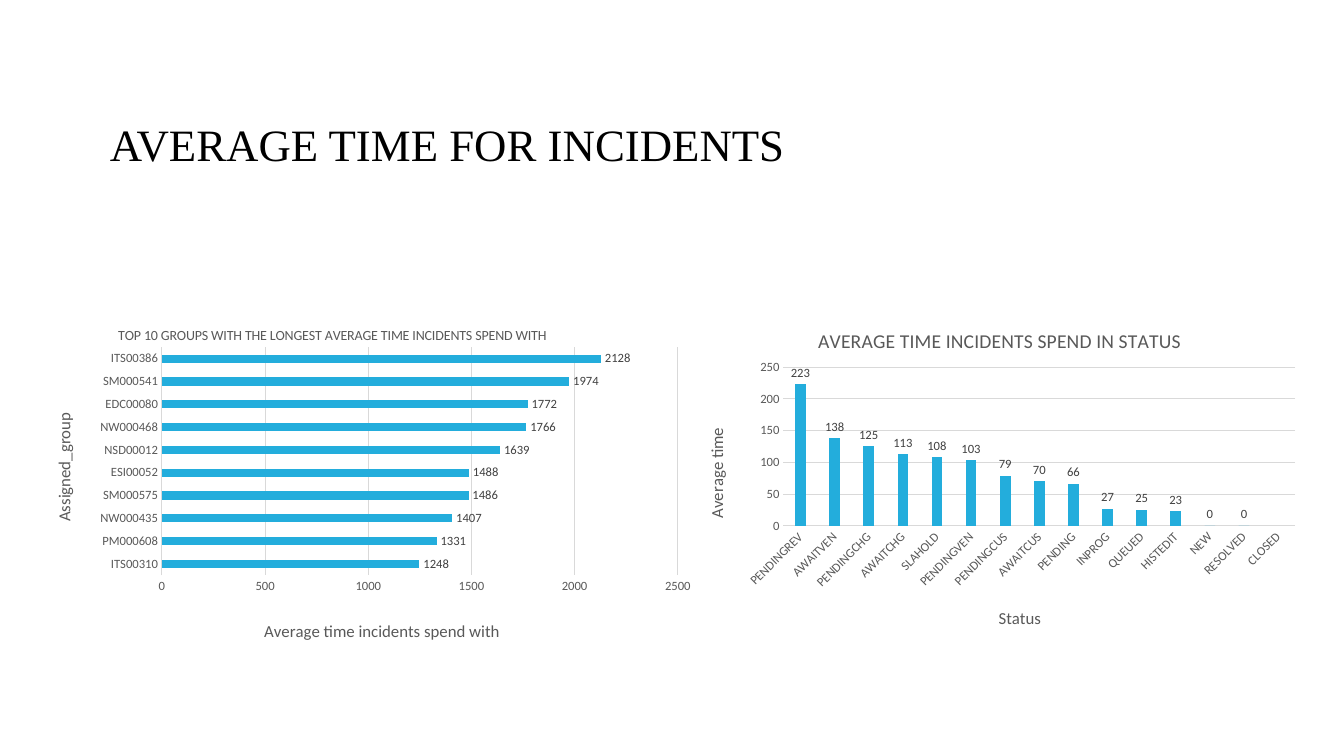
from lxml import etree
from pptx import Presentation
from pptx.chart.data import CategoryChartData as ChartData
from pptx.dml.color import RGBColor
from pptx.enum.chart import XL_CHART_TYPE as ChartType
from pptx.enum.chart import XL_LABEL_POSITION as LabelPosition
from pptx.enum.chart import XL_TICK_MARK as TickMark
from pptx.enum.text import MSO_ANCHOR, PP_ALIGN
from pptx.oxml.ns import qn
from pptx.util import Inches, Pt

COLORS = {
    "title": "000000",
    "bar": "23ADDC",
    "axis": "595959",
    "label": "404040",
    "grid": "D9D9D9",
}

GROUPS = [
    ("ITS00310", 1248), ("PM000608", 1331), ("NW000435", 1407),
    ("SM000575", 1486), ("ESI00052", 1488), ("NSD00012", 1639),
    ("NW000468", 1766), ("EDC00080", 1772), ("SM000541", 1974),
    ("ITS00386", 2128),
]
STATUSES = [
    ("PENDINGREV", 223), ("AWAITVEN", 138), ("PENDINGCHG", 125),
    ("AWAITCHG", 113), ("SLAHOLD", 108), ("PENDINGVEN", 103),
    ("PENDINGCUS", 79), ("AWAITCUS", 70), ("PENDING", 66),
    ("INPROG", 27), ("QUEUED", 25), ("HISTEDIT", 23),
    ("NEW", 0), ("RESOLVED", 0), ("CLOSED", None),
]


def color(name):
    return RGBColor.from_string(COLORS[name])


def style_font(font, size, color_name, family="Calibri"):
    font.name = family
    font.size = Pt(size)
    font.bold = False
    font.color.rgb = color(color_name)


def make_layout(**settings):
    layout = etree.Element(qn("c:layout"))
    manual = etree.SubElement(layout, qn("c:manualLayout"))
    for name, value in settings.items():
        etree.SubElement(manual, qn(f"c:{name}")).set("val", str(value))
    return layout


def drop_layout(element):
    for old in element.findall(qn("c:layout")):
        element.remove(old)


def set_title(title, text, size, left, top):
    para = title.text_frame.paragraphs[0]
    run = para.add_run()
    run.text = text
    style_font(run.font, size, "axis")
    element = title._element
    drop_layout(element)
    layout = make_layout(xMode="edge", yMode="edge", x=left, y=top)
    element.find(qn("c:tx")).addnext(layout)


def place_plot(chart, left, top, width, height):
    area = chart._chartSpace.chart.plotArea
    drop_layout(area)
    area.insert(0, make_layout(layoutTarget="inner", xMode="edge", yMode="edge",
                               x=left, y=top, w=width, h=height))


def style_axis(axis):
    axis.major_tick_mark = TickMark.NONE
    axis.minor_tick_mark = TickMark.NONE
    style_font(axis.tick_labels.font, 9, "axis")


def style_line(line):
    line.color.rgb = color("grid")
    line.width = Pt(0.75)


def add_bar_chart(page, kind, place, rows, plot_place, gap, overlap, step):
    data = ChartData(number_format="0")
    data.categories = [name for name, value in rows]
    data.add_series("Series 1", [value for name, value in rows])
    chart = page.shapes.add_chart(kind, *map(Inches, place), data).chart
    chart.has_legend = False
    style_font(chart.font, 10, "title")
    place_plot(chart, *plot_place)

    categories, values = chart.category_axis, chart.value_axis
    style_axis(categories)
    style_line(categories.format.line)
    categories.has_major_gridlines = False
    style_axis(values)
    values.format.line.fill.background()
    values.has_major_gridlines = True
    style_line(values.major_gridlines.format.line)
    values.minimum_scale = 0
    values.maximum_scale = step * 5
    values.major_unit = step
    values.tick_labels.number_format = "0"
    values.tick_labels.number_format_is_linked = False

    plot = chart.plots[0]
    plot.gap_width = gap
    plot.overlap = overlap
    plot.vary_by_categories = False
    series = plot.series[0]
    series.invert_if_negative = False
    series.format.fill.solid()
    series.format.fill.fore_color.rgb = color("bar")
    labels = series.data_labels
    labels.show_value = True
    labels.position = LabelPosition.OUTSIDE_END
    labels.number_format = "0"
    labels.number_format_is_linked = False
    style_font(labels.font, 9, "label")
    return chart


def tilt_labels(axis):
    body = axis._element.find(qn("c:txPr")).find(qn("a:bodyPr"))
    body.set("rot", "-2700000")
    body.set("vert", "horz")


def add_heading(page, text):
    box = page.shapes.title
    box.left, box.top = Inches(0.99), Inches(1.1)
    box.width, box.height = Inches(10.13), Inches(0.64)
    frame = box.text_frame
    frame.word_wrap = True
    frame.vertical_anchor = MSO_ANCHOR.MIDDLE
    para = frame.paragraphs[0]
    para.alignment = PP_ALIGN.LEFT
    run = para.add_run()
    run.text = text
    style_font(run.font, 32, "title", "Times New Roman")


def main():
    deck = Presentation()
    deck.slide_width, deck.slide_height = Inches(13.33), Inches(7.5)
    page = deck.slides.add_slide(deck.slide_layouts[5])

    groups = add_bar_chart(page, ChartType.BAR_CLUSTERED, (0.36, 3, 6.56, 3.43),
                           GROUPS, (0.19, 0.13, 0.78, 0.66), 182, 0, 500)
    set_title(groups.chart_title,
              "TOP 10 GROUPS WITH THE LONGEST AVERAGE TIME INCIDENTS SPEND WITH",
              10, 0.12, 0.06)
    set_title(groups.category_axis.axis_title, "Assigned_group", 12, 0.02, 0.31)
    set_title(groups.value_axis.axis_title, "Average time incidents spend with",
              12, 0.34, 0.91)

    statuses = add_bar_chart(page, ChartType.COLUMN_CLUSTERED, (6.78, 3.04, 6.19, 3.35),
                             STATUSES, (0.16, 0.18, 0.82, 0.47), 219, -27, 50)
    set_title(statuses.chart_title, "AVERAGE TIME INCIDENTS SPEND IN STATUS",
              14, 0.21, 0.05)
    set_title(statuses.category_axis.axis_title, "Status", 12, 0.5, 0.88)
    set_title(statuses.value_axis.axis_title, "Average time", 12, 0.03, 0.35)
    tilt_labels(statuses.category_axis)

    add_heading(page, "AVERAGE TIME FOR INCIDENTS")
    deck.save("out.pptx")


if __name__ == "__main__":
    main()
